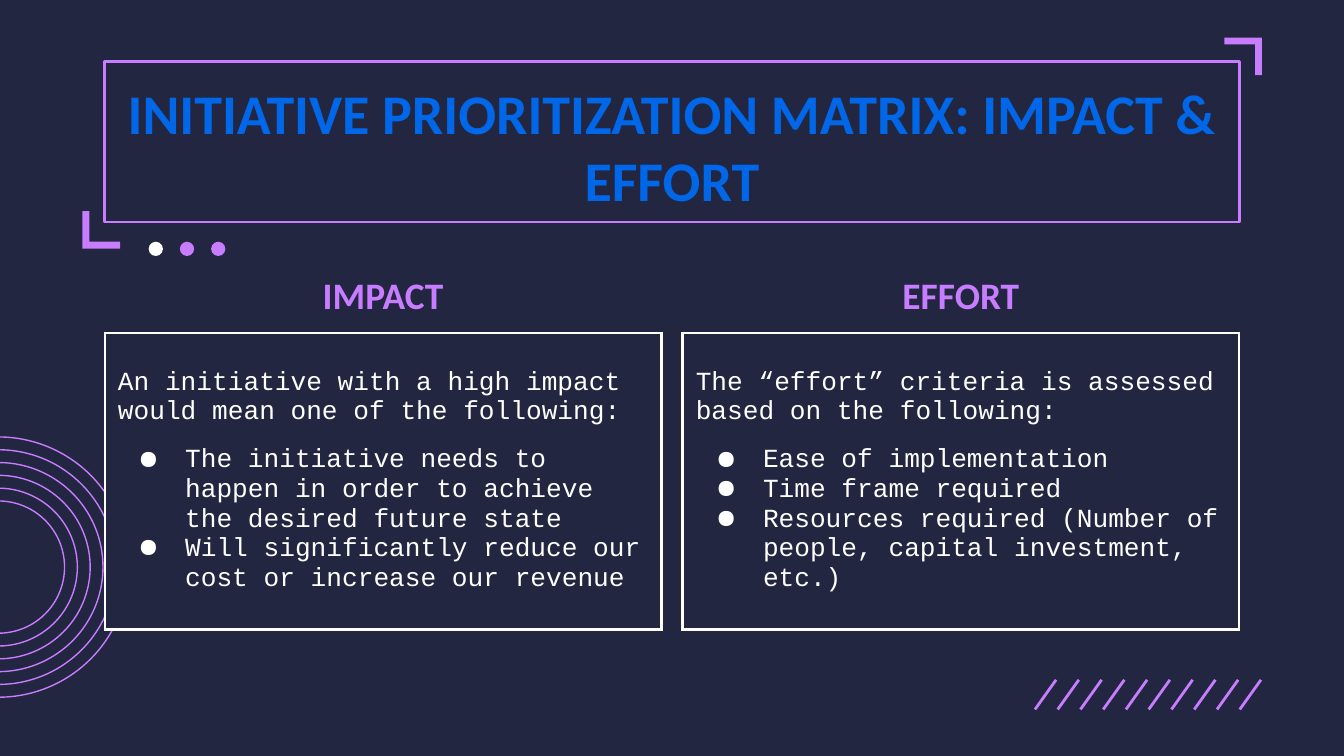
from lxml import etree
from pptx import Presentation
from pptx import util as u
from pptx.dml.color import RGBColor
from pptx.enum import shapes, text
from pptx.oxml.ns import qn
from pptx.util import Cm

COLORS = {"night": "222640", "violet": "C87CFF", "blue": "0068E8", "white": "FFFFFF"}
TITLE = {"name": "Calibri", "size": u.Pt(30), "bold": True}
HEADING = {"name": "Calibri", "size": u.Pt(20), "bold": True}
BODY = {"name": "Courier New", "size": u.Pt(14), "bold": False}
INSETS = {f"margin_{side}": Cm(0.25) for side in ("left", "right", "top", "bottom")}
CRITERIA = [
    ("IMPACT", "An initiative with a high impact would mean one of the following:",
     ["The initiative needs to happen in order to achieve the desired future state",
      "Will significantly reduce our cost or increase our revenue"]),
    ("EFFORT", "The “effort” criteria is assessed based on the following:",
     ["Ease of implementation", "Time frame required",
      "Resources required (Number of people, capital investment, etc.)"]),
]


def rgb(color):
    return RGBColor.from_string(COLORS[color])


def set_all(target, values):
    for key, value in values.items():
        setattr(target, key, value)


def write(paragraph, words, font, color, align=text.PP_ALIGN.LEFT):
    paragraph.alignment = align
    run = paragraph.add_run()
    run.text = words
    set_all(run.font, font)
    run.font.color.rgb = rgb(color)


def paint(shape, fill=None, line=None, width=1.5):
    shape.shadow.inherit = False
    if fill:
        shape.fill.solid()
        shape.fill.fore_color.rgb = rgb(fill)
    else:
        shape.fill.background()
    if line:
        shape.line.color.rgb = rgb(line)
        shape.line.width = u.Pt(width)
    else:
        shape.line.fill.background()


def add_bullet(paragraph):
    props = paragraph._p.get_or_add_pPr()
    props.set("marL", str(Cm(1.27)))
    props.set("indent", str(-Cm(0.89)))
    tint = etree.SubElement(props, qn("a:buClr"))
    etree.SubElement(tint, qn("a:srgbClr"), val=COLORS["white"])
    etree.SubElement(props, qn("a:buChar"), char="●")


def set_borders(cell, visible):
    props = cell._tc.get_or_add_tcPr()
    for side in "LRTB":
        edge = etree.SubElement(props, qn(f"a:ln{side}"), w=str(u.Pt(1.5)))
        if side in visible:
            fill = etree.SubElement(edge, qn("a:solidFill"))
            etree.SubElement(fill, qn("a:srgbClr"), val=COLORS["white"])
        else:
            etree.SubElement(edge, qn("a:noFill"))


def add_rings(slide, center_x, center_y, inner, outer, count=6):
    for i in range(count):
        radius = inner + (outer - inner) * i / (count - 1)
        ring = slide.shapes.add_shape(
            shapes.MSO_SHAPE.OVAL, Cm(center_x - radius), Cm(center_y - radius),
            Cm(2 * radius), Cm(2 * radius))
        paint(ring, line="violet", width=0.75)


def add_slashes(slide, left, top, width, height, count=10, run=0.4):
    pitch = (width - run) / (count - 1)
    for i in range(count):
        x = left + i * pitch
        slash = slide.shapes.add_connector(
            shapes.MSO_CONNECTOR.STRAIGHT, Cm(x + run), Cm(top), Cm(x), Cm(top + height))
        slash.line.color.rgb = rgb("violet")
        slash.line.width = u.Pt(1.5)
        etree.SubElement(slash._element.spPr, qn("a:effectLst"))


def add_bracket(slide, x, y, direction, arm=0.71, thick=0.13):
    """Corner bracket at (x, y); direction 1 opens up and right, -1 down and left."""
    outline = [(0, -arm), (0, 0), (arm, 0), (arm, -thick), (thick, -thick), (thick, -arm)]
    points = [(Cm(x + direction * dx), Cm(y + direction * dy)) for dx, dy in outline]
    builder = slide.shapes.build_freeform(*points[0])
    builder.add_line_segments(points[1:], close=True)
    paint(builder.convert_to_shape(), fill="violet")


def add_title(slide, left, top, width, height):
    frame = slide.shapes.add_shape(
        shapes.MSO_SHAPE.RECTANGLE, Cm(left), Cm(top), Cm(width), Cm(height))
    paint(frame, line="violet")
    add_bracket(slide, left - 0.42, top + height + 0.5, 1)
    add_bracket(slide, left + width + 0.43, top - 0.45, -1)

    title = slide.shapes.add_textbox(Cm(left), Cm(top + 0.08), Cm(width), Cm(1.6)).text_frame
    set_all(title, {"word_wrap": True, "vertical_anchor": text.MSO_ANCHOR.TOP, **INSETS})
    write(title.paragraphs[0], "INITIATIVE PRIORITIZATION MATRIX: IMPACT & EFFORT",
          TITLE, "blue", text.PP_ALIGN.CENTER)


def add_dots(slide, left, top, size, pitch):
    for i, color in enumerate(("white", "violet", "violet")):
        dot = slide.shapes.add_shape(
            shapes.MSO_SHAPE.OVAL, Cm(left + i * pitch), Cm(top), Cm(size), Cm(size))
        paint(dot, fill=color)


def add_criterion(slide, left, top, width, height, criterion, heading_height=1.36):
    heading, intro, points = criterion
    table = slide.shapes.add_table(2, 1, Cm(left), Cm(top), Cm(width), Cm(height)).table
    set_all(table, {"first_row": False, "horz_banding": False})
    table.rows[0].height = Cm(heading_height)
    table.rows[1].height = Cm(height - heading_height)
    head, body = table.cell(0, 0), table.cell(1, 0)
    for cell, visible in ((head, "B"), (body, "LRTB")):
        set_all(cell, {"vertical_anchor": text.MSO_ANCHOR.MIDDLE, **INSETS})
        set_borders(cell, visible)
    head.fill.background()
    body.fill.solid()
    body.fill.fore_color.rgb = rgb("night")

    write(head.text_frame.paragraphs[0], heading, HEADING, "violet", text.PP_ALIGN.CENTER)
    write(body.text_frame.paragraphs[0], intro, BODY, "white")
    for i, point in enumerate(points):
        paragraph = body.text_frame.add_paragraph()
        paragraph.space_before = u.Pt(0 if i else 10)
        add_bullet(paragraph)
        write(paragraph, point, BODY, "white")


def main():
    deck = Presentation()
    deck.slide_width, deck.slide_height = Cm(25.4), Cm(14.29)
    slide = deck.slides.add_slide(deck.slide_layouts[6])
    slide.background.fill.solid()
    slide.background.fill.fore_color.rgb = rgb("night")

    # Decoration
    add_rings(slide, -0.03, 10.72, 1.25, 2.46)
    add_slashes(slide, 19.56, 12.85, 4.27, 0.56)

    # Title
    margin, content = 1.98, 21.44
    add_title(slide, margin, 1.16, content, 3.04)
    add_dots(slide, 2.81, 4.57, 0.27, 0.59)

    # Criteria side by side
    gap = 0.4
    width = (content - gap) / 2
    for i, criterion in enumerate(CRITERIA):
        add_criterion(slide, margin + i * (width + gap), 4.93, width, 6.97, criterion)

    deck.save("out.pptx")


if __name__ == "__main__":
    main()
